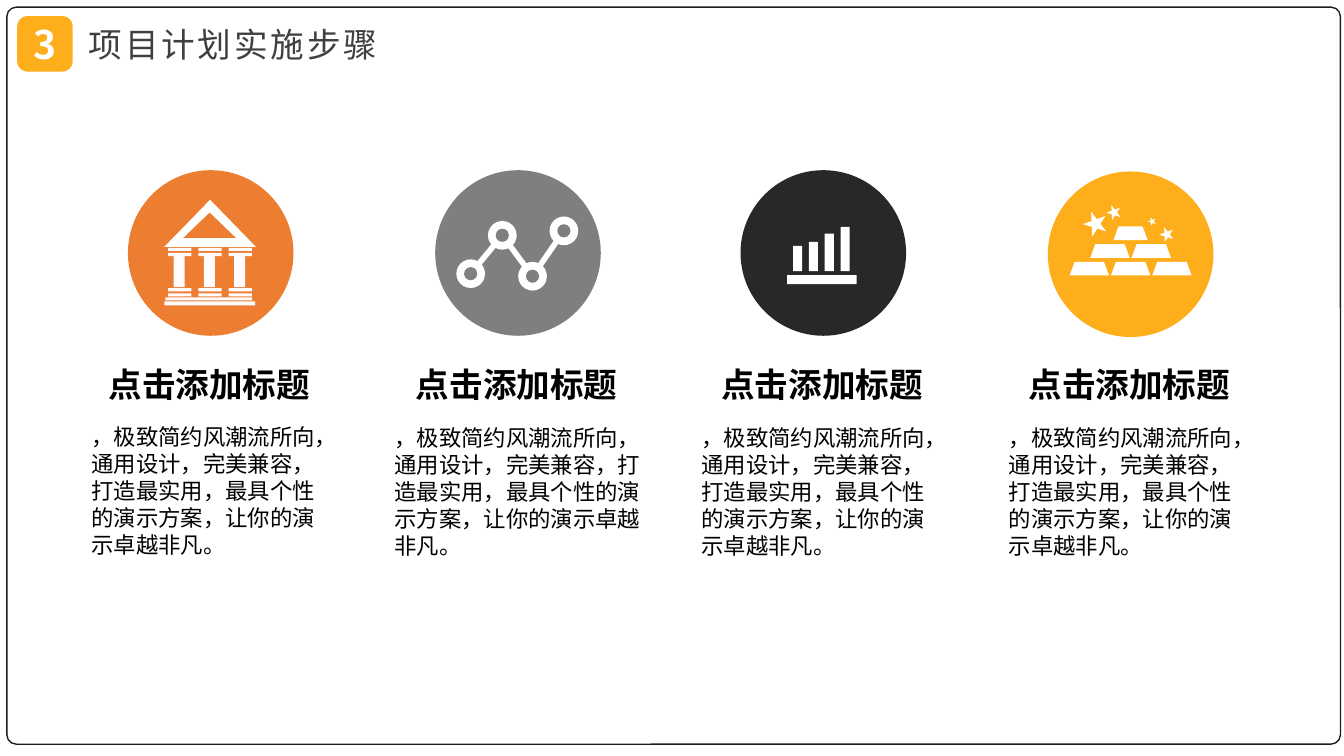
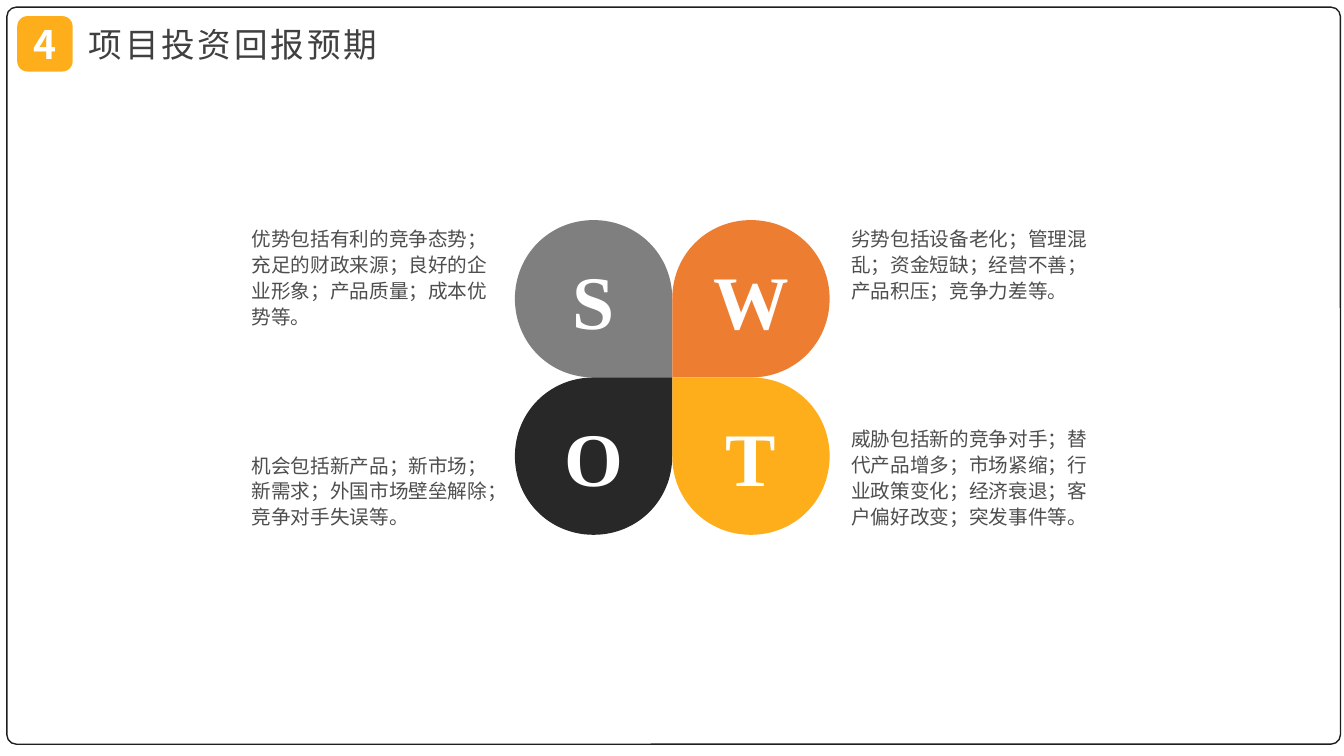
from dataclasses import dataclass
from itertools import pairwise

from lxml import etree
from pptx import Presentation
from pptx.dml.color import RGBColor
from pptx.enum.shapes import MSO_CONNECTOR, MSO_SHAPE
from pptx.enum.text import MSO_ANCHOR, MSO_AUTO_SIZE, PP_ALIGN
from pptx.oxml.ns import qn
from pptx.util import Pt

RECT, ROUND, OVAL = MSO_SHAPE.RECTANGLE, MSO_SHAPE.ROUNDED_RECTANGLE, MSO_SHAPE.OVAL
TRAPEZOID, STAR = MSO_SHAPE.TRAPEZOID, MSO_SHAPE.STAR_5_POINT
STRAIGHT = MSO_CONNECTOR.STRAIGHT
TOP, MIDDLE = MSO_ANCHOR.TOP, MSO_ANCHOR.MIDDLE
LEFT, CENTER = PP_ALIGN.LEFT, PP_ALIGN.CENTER
NO_FIT, GROW = MSO_AUTO_SIZE.NONE, MSO_AUTO_SIZE.SHAPE_TO_FIT_TEXT


@dataclass(frozen=True)
class Theme:
    amber: str = "FEAE1B"
    orange: str = "ED7D31"
    gray: str = "7F7F7F"
    dark: str = "282828"
    white: str = "FFFFFF"
    ivory: str = "FFFBFF"
    black: str = "000000"
    frame: str = "1E1E1E"
    title: str = "404040"
    note: str = "4E4E4E"
    sans: str = "Noto Sans CJK SC"
    serif: str = "Times New Roman"
    badge_size: int = 28
    head_size: int = 24
    body_size: int = 16
    note_size: int = 14
    letter_size: int = 54


class Deck:
    def __init__(self, theme):
        self.t = theme
        self.prs = Presentation()
        self.prs.slide_width, self.prs.slide_height = Pt(960), Pt(540)

    def slide(self, number, title):
        t = self.t
        self.s = self.prs.slides.add_slide(self.prs.slide_layouts[5])
        self.shapes = self.s.shapes
        badge = self.shape(ROUND, 12.3, 11.5, 39.6, 39.6, t.amber, adj=0.186)
        self.text(badge, number, t.badge_size, t.white, True, CENTER, MIDDLE, inset=0)
        self.title(title)
        frame = self.shape(ROUND, 4.9, 5.1, 952.6, 526.5, adj=0.013)
        frame.line.color.rgb = RGBColor.from_string(t.frame)
        frame.line.width = Pt(1)

    def title(self, words):
        t = self.t
        sp = self.s.shapes.title
        sp.left, sp.top, sp.width, sp.height = Pt(52.7), Pt(11.5), Pt(227.5), Pt(39.6)
        geom = etree.SubElement(sp._element.spPr, qn("a:prstGeom"), prst="roundRect")
        guides = etree.SubElement(geom, qn("a:avLst"))
        etree.SubElement(guides, qn("a:gd"), name="adj", fmla="val 9100")
        sp.fill.background()
        sp.line.fill.background()
        r = self.text(sp, words, t.head_size, t.title, False, CENTER, MIDDLE)
        r.font._element.set("spc", "200")
        tree = self.s.shapes._spTree
        tree.remove(sp._element)
        tree.append(sp._element)

    def group(self):
        self.shapes = self.s.shapes.add_group_shape().shapes

    def end_group(self):
        self.shapes = self.s.shapes

    def style(self, sp, fill):
        sp.shadow.inherit = False
        sp.line.fill.background()
        if fill:
            sp.fill.solid()
            sp.fill.fore_color.rgb = RGBColor.from_string(fill)
        else:
            sp.fill.background()
        return sp

    def shape(self, kind, x, y, w, h, fill=None, adj=None):
        sp = self.shapes.add_shape(kind, Pt(x), Pt(y), Pt(w), Pt(h))
        if adj is not None:
            sp.adjustments[0] = adj
        return self.style(sp, fill)

    def disc(self, cx, cy, d, fill):
        return self.shape(OVAL, cx - d / 2, cy - d / 2, d, d, fill)

    def polygon(self, points, fill):
        pts = [(Pt(x), Pt(y)) for x, y in points]
        fb = self.shapes.build_freeform(*pts[0])
        fb.add_line_segments(pts[1:])
        return self.style(fb.convert_to_shape(), fill)

    def petal(self, cx, cy, dx, dy, size, fill):
        near, far = 0.22, 0.78
        outline = ((0.5, 0), (far, 0), (1, near), (1, 0.5), (1, far), (far, 1), (0.5, 1),
                   (near, 1), (0, far), (0, 0.5), (0, 0))
        sp = self.polygon([(cx + dx * size * u, cy + dy * size * v) for u, v in outline], fill)
        steps = list(sp._element.iter(qn("a:lnTo")))
        for i in (0, 3, 6):
            curve = etree.Element(qn("a:cubicBezTo"))
            steps[i].addprevious(curve)
            for step in steps[i:i + 3]:
                curve.append(step[0])
                step.getparent().remove(step)
        return sp

    def line(self, start, end, color, width):
        ln = self.shapes.add_connector(STRAIGHT, *(Pt(v) for v in (*start, *end)))
        ln.line.color.rgb = RGBColor.from_string(color)
        ln.line.width = Pt(width)
        etree.SubElement(ln._element.spPr, qn("a:effectLst"))

    def text(self, sp, words, size, color, bold=False, align=LEFT, anchor=TOP,
             font=None, spacing=None, inset=None, wrap=True, fit=NO_FIT):
        tf = sp.text_frame
        tf.word_wrap, tf.auto_size, tf.vertical_anchor = wrap, fit, anchor
        if inset is not None:
            tf.margin_left = tf.margin_right = tf.margin_top = tf.margin_bottom = Pt(inset)
        p = tf.paragraphs[0]
        p.alignment = align
        if spacing:
            p.line_spacing = spacing
        r = p.add_run()
        r.text = words
        r.font.size, r.font.bold = Pt(size), bold
        r.font.color.rgb = RGBColor.from_string(color)
        r.font.name = font or self.t.sans
        ea = etree.SubElement(r.font._element, qn("a:ea"))
        ea.set("typeface", font or self.t.sans)
        return r

    def box(self, x, y, w, h, words, size, color, **style):
        sp = self.shapes.add_textbox(Pt(x), Pt(y), Pt(w), Pt(h))
        self.text(sp, words, size, color, fit=GROW, **style)


def bank_icon(d, cx, cy):
    t = d.t
    for mid, half, top, bottom, fill in ((-0.4, 32.8, -38, -4.3, t.white),
                                         (-0.7, 18.8, -28.8, -10.8, t.orange)):
        x = cx + mid
        d.polygon([(x - half, cy + bottom), (x, cy + top), (x + half, cy + bottom)], fill)
    for i in range(3):
        x = cx - 30.3 + 21.6 * i
        for y in (-3.6, 0, 25.2, 28.8):
            d.shape(RECT, x, cy + y, 16.6, 2.2, t.ivory)
        d.shape(RECT, x + 3.8, cy + 2.2, 8, 22.3, t.ivory)
    d.shape(RECT, cx - 32.4, cy + 31.7, 62, 2.2, t.ivory)
    d.shape(RECT, cx - 33.1, cy + 34.6, 64.8, 2.9, t.ivory)


def network_icon(d, cx, cy):
    offsets = ((-33.8, 14.8), (-11.2, -12.6), (10.4, 16.6), (32.8, -15.8))
    nodes = [(cx + x, cy + y) for x, y in offsets]
    for start, end in pairwise(nodes):
        d.line(start, end, d.t.white, 4)
    for node in nodes:
        d.disc(*node, 20.5, d.t.white)
        d.disc(*node, 9.4, d.t.gray)


def bars_icon(d, cx, cy):
    d.shape(RECT, cx - 25.9, cy + 15.8, 49.7, 6.5, d.t.white)
    for i, h in enumerate((18, 21, 26.7, 31.7)):
        d.shape(RECT, cx - 21.6 + 11.3 * i, cy + 13 - h, 6.5, h, d.t.white)


def gold_icon(d, cx, cy):
    for x, y, size in ((-25.3, -22.5, 17), (-12, -30.3, 10.3),
                       (15.3, -23.7, 5.6), (25.7, -14.6, 10.4)):
        star = d.shape(STAR, cx + x - size / 2, cy + y - size / 2, size, size, d.t.white)
        star.rotation = -20
    for row, width in enumerate((24.5, 28.2, 28.2)):
        for i in range(row + 1):
            x = cx + 29.5 * (i - row / 2) - width / 2
            d.shape(TRAPEZOID, x, cy - 19.8 + 12.6 * row, width, 9.8, d.t.white, adj=0.37)


def steps_slide(d):
    t = d.t
    d.slide("3", "项目计划实施步骤")
    body = "，极致简约风潮流所向，通用设计，完美兼容，打造最实用，最具个性的演示方案，让你的演示卓越非凡。"
    steps = (
        (bank_icon, t.orange, 150.5, 180.7, 298.8, 184.3),
        (network_icon, t.gray, 370, 180.7, 299.5, 190.5),
        (bars_icon, t.dark, 588.1, 180.7, 299.5, 188),
        (gold_icon, t.amber, 807.6, 181.6, 299.5, 188),
    )
    for icon, fill, cx, cy, body_top, width in steps:
        d.group()
        d.disc(cx, cy, 118.3, fill)
        icon(d, cx, cy)
        d.end_group()
        d.box(cx - 80, 256.3, 160, 36.7, "点击添加标题", t.head_size, t.black, bold=True, wrap=False)
        d.box(cx - width / 2, body_top, width, 103, body, t.body_size, t.black)


def swot_slide(d):
    t = d.t
    d.slide("4", "项目投资回报预期")
    cx, cy, size = 480.2, 269.6, 112.4
    left, right, top = 172.6, 601, 157.2
    quadrants = (
        ("S", -1, -1, t.gray, left, top, 82, "优势包括有利的竞争态势；充足的财政来源；良好的企业形象；产品质量；成本优势等。"),
        ("W", 1, -1, t.orange, right, top, 63.4, "劣势包括设备老化；管理混乱；资金短缺；经营不善；产品积压；竞争力差等。"),
        ("O", -1, 1, t.dark, left, 318.7, 63.4, "机会包括新产品；新市场；新需求；外国市场壁垒解除；竞争对手失误等。"),
        ("T", 1, 1, t.amber, right, 300, 82, "威胁包括新的竞争对手；替代产品增多；市场紧缩；行业政策变化；经济衰退；客户偏好改变；突发事件等。"),
    )
    d.group()
    for letter, dx, dy, fill, *_ in quadrants:
        sp = d.petal(cx, cy, dx, dy, size, fill)
        d.text(sp, letter, t.letter_size, t.white, True, CENTER, MIDDLE, font=t.serif)
    d.end_group()
    for *_, x, y, h, note in quadrants:
        d.box(x, y, 190, h, note, t.note_size, t.note, spacing=1.1)


def main():
    d = Deck(Theme())
    steps_slide(d)
    swot_slide(d)
    d.prs.save("out.pptx")


if __name__ == "__main__":
    main()
